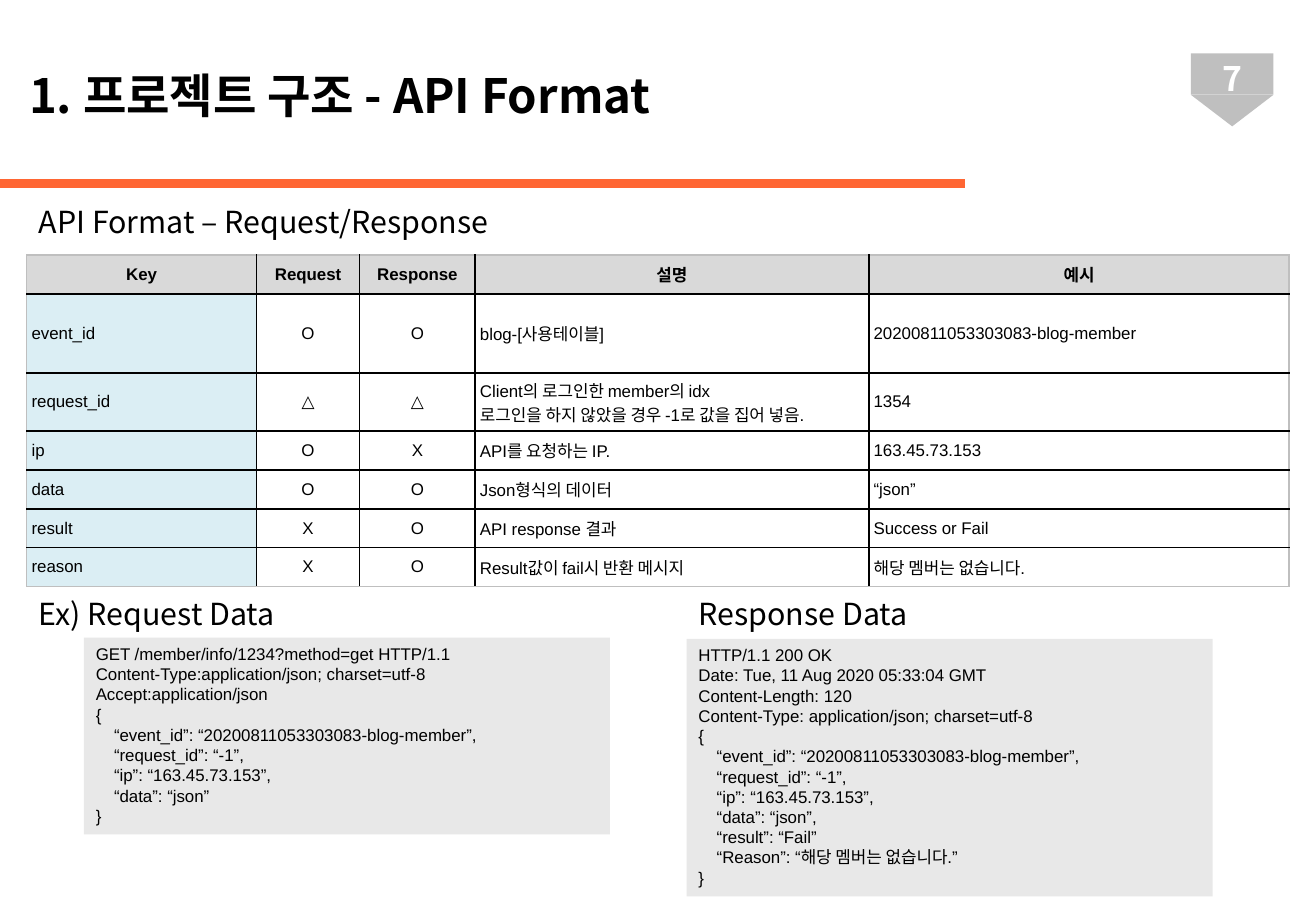
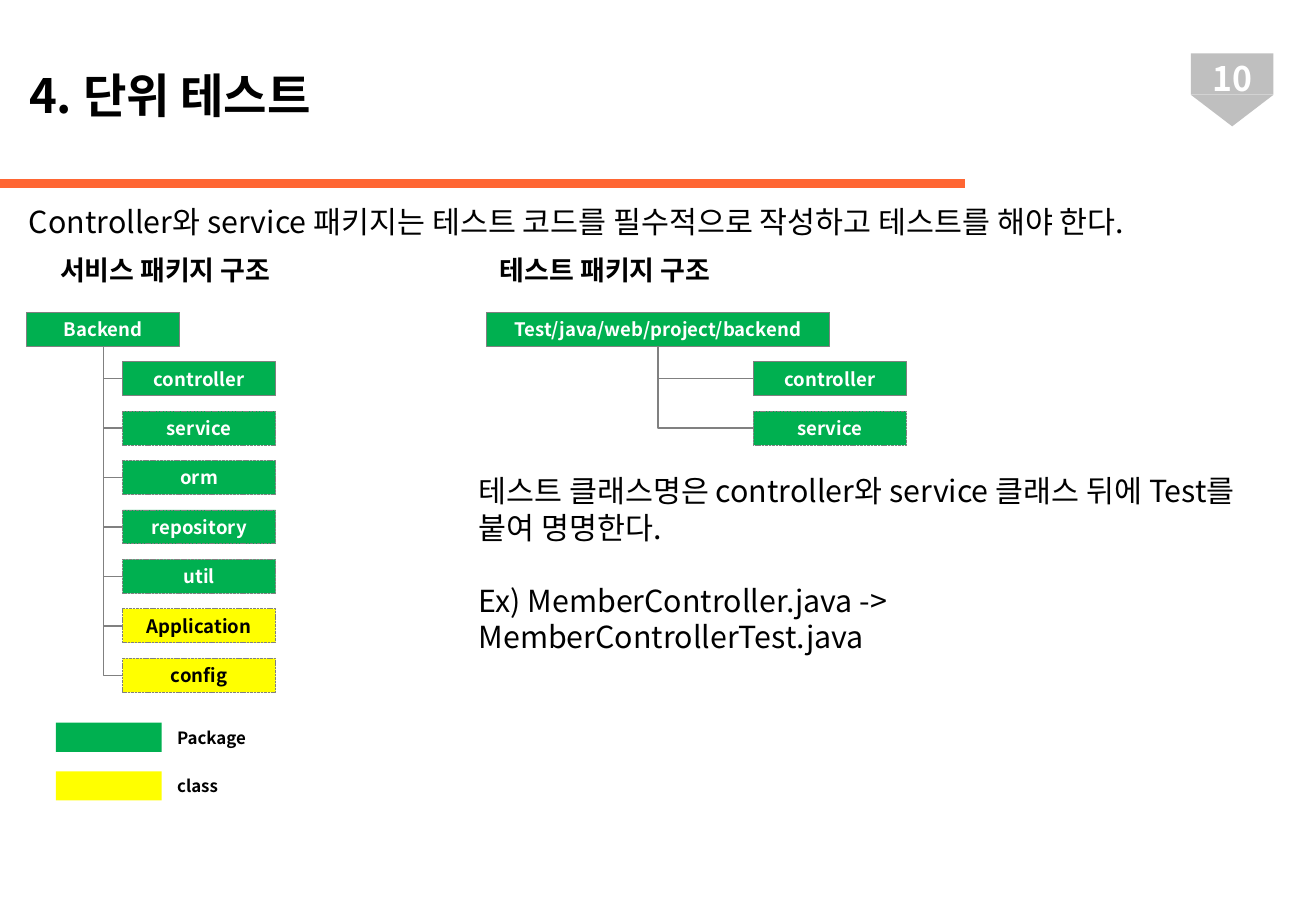
from lxml import etree
from pptx import Presentation
from pptx import util as u
from pptx.dml.color import RGBColor
from pptx.enum import dml, shapes, text
from pptx.oxml import ns

# Content
API_SLIDE = {"title": "1. 프로젝트 구조 - API Format", "number": "7"}
TEST_SLIDE = {"title": "4. 단위 테스트", "number": "10"}
API_HEADINGS = [
    ("API Format – Request/Response", 0.22, 1.62, 9.84),
    ("Ex) Request Data", 0.22, 4.85, 2.21),
    ("Response Data", 5.65, 4.85, 2.21),
]
API_ROWS = [
    ("Key", "Request", "Response", "설명", "예시"),
    ("event_id", "O", "O", "blog-[사용테이블]", "20200811053303083-blog-member"),
    ("request_id", "△", "△",
     "Client의 로그인한 member의 idx\n로그인을 하지 않았을 경우 -1로 값을 집어 넣음.", "1354"),
    ("ip", "O", "X", "API를 요청하는 IP.", "163.45.73.153"),
    ("data", "O", "O", "Json형식의 데이터", "“json”"),
    ("result", "X", "O", "API response 결과", "Success or Fail"),
    ("reason", "X", "O", "Result값이 fail시 반환 메시지", "해당 멤버는 없습니다."),
]
COLUMN_WIDTHS = [1.89, 0.85, 0.95, 3.24, 3.46]
ROW_HEIGHTS = [0.32, 0.65, 0.48] + [0.32] * 4
COMMON_FIELDS = ["“event_id”: “20200811053303083-blog-member”,",
                 "“request_id”: “-1”,", "“ip”: “163.45.73.153”,"]
# Each message: left, top, height, header lines, body fields
MESSAGES = [
    (0.69, 5.25, 1.62,
     ["GET /member/info/1234?method=get HTTP/1.1",
      "Content-Type:application/json; charset=utf-8",
      "Accept:application/json"],
     COMMON_FIELDS + ["“data”: “json”"]),
    (5.65, 5.26, 2.12,
     ["HTTP/1.1 200 OK", "Date: Tue, 11 Aug 2020 05:33:04 GMT",
      "Content-Length: 120", "Content-Type: application/json; charset=utf-8"],
     COMMON_FIELDS + ["“data”: “json”,", "“result”: “Fail”",
                      "“Reason”: “해당 멤버는 없습니다.”"]),
]
TEST_RULE = "Controller와 service 패키지는 테스트 코드를 필수적으로 작성하고 테스트를 해야 한다."
NAMING_RULE = [
    "테스트 클래스명은 controller와 service 클래스 뒤에 Test를 붙여 명명한다.",
    "Ex) MemberController.java -> MemberControllerTest.java",
]
CLASSES = ("Application", "config")
# Each tree: heading, heading left, root, root left, root width, child left, children
TREES = [
    ("서비스 패키지 구조", 0.22, "Backend", 0.22, 1.26, 1.01,
     ["controller", "service", "orm", "repository", "util", *CLASSES]),
    ("테스트 패키지 구조", 3.84, "Test/java/web/project/backend", 4, 2.83, 6.2,
     ["controller", "service"]),
]

# Style
SANS, ARIAL = "Noto Sans CJK KR", "Arial"
BLACK = RGBColor(0x00, 0x00, 0x00)
WHITE = RGBColor(0xFF, 0xFF, 0xFF)
ORANGE = RGBColor(0xFF, 0x66, 0x33)
SILVER = RGBColor(0xBF, 0xBF, 0xBF)
GRAY = RGBColor(0x80, 0x80, 0x80)
HEADER_GRAY = RGBColor(0xD9, 0xD9, 0xD9)
CODE_GRAY = RGBColor(0xE8, 0xE8, 0xE8)
KEY_BLUE = RGBColor(0xDB, 0xEE, 0xF4)
GREEN = RGBColor(0x00, 0xB0, 0x50)
YELLOW = RGBColor(0xFF, 0xFF, 0x00)
LEFT, CENTER = text.PP_ALIGN.LEFT, text.PP_ALIGN.CENTER
TOP, MIDDLE = text.MSO_ANCHOR.TOP, text.MSO_ANCHOR.MIDDLE
RECTANGLE = shapes.MSO_SHAPE.RECTANGLE
NODE_HEIGHT, ROOT_TOP, NODE_STEP = 0.28, 2.57, 2.85 / 7


def style_para(para, size, color=BLACK, bold=False, font=SANS, align=LEFT):
    para.alignment = align
    if font == SANS:
        para.line_spacing = u.Pt(size * 1.2)
    for span in para.runs:
        span.font.size, span.font.bold, span.font.name = u.Pt(size), bold, font
        span.font.color.rgb = color
        east = etree.SubElement(span.font._element, ns.qn("a:ea"))
        east.set("typeface", SANS)


def write(shape, lines, size, anchor=TOP, **style):
    frame = shape.text_frame
    frame.word_wrap, frame.vertical_anchor = True, anchor
    frame.text = "\n".join(lines)
    for para in frame.paragraphs:
        style_para(para, size, **style)
    return frame


def add_text(page, area, lines, size, **style):
    box = page.shapes.add_textbox(*map(u.Inches, area))
    return write(box, lines, size, **style)


def add_box(page, area, fill, kind=RECTANGLE):
    box = page.shapes.add_shape(kind, *map(u.Inches, area))
    box.shadow.inherit = False
    box.fill.solid()
    box.fill.fore_color.rgb = fill
    box.line.fill.background()
    return box


def style_line(line, color, width):
    line.line.color.rgb, line.line.width = color, u.Pt(width)
    etree.SubElement(line._element.spPr, ns.qn("a:effectLst"))


def start_page(deck, title, number):
    page = deck.slides.add_slide(deck.slide_layouts[5])
    heading = page.shapes.title
    heading.left, heading.top, heading.width, heading.height = map(
        u.Inches, (0.14, 0.48, 7.34, 0.59))
    write(heading, [title], 28, anchor=MIDDLE, bold=True)
    # Page number badge and rule under the title
    add_box(page, (9.8, 0.44, 0.68, 0.34), SILVER)
    add_box(page, (9.8, 0.78, 0.68, 0.26), SILVER,
            shapes.MSO_SHAPE.ISOSCELES_TRIANGLE).rotation = 180
    add_text(page, (9.8, 0.44, 0.68, 0.4), [number], 20, anchor=MIDDLE,
             color=WHITE, bold=True, align=CENTER)
    rule = page.shapes.add_connector(
        shapes.MSO_CONNECTOR.STRAIGHT, 0, u.Inches(1.51), u.Inches(7.94), u.Inches(1.51))
    style_line(rule, ORANGE, 5)
    return page


def set_borders(cell, colors):
    """Add borders ahead of the cell fill, in left, right, top, bottom order."""
    props = cell._tc.get_or_add_tcPr()
    for index, (side, color) in enumerate(zip("LRTB", colors)):
        border = etree.Element(ns.qn(f"a:ln{side}"), w=str(u.Pt(1)))
        fill = etree.SubElement(border, ns.qn("a:solidFill"))
        etree.SubElement(fill, ns.qn("a:srgbClr"), val=str(color))
        props.insert(index, border)


def add_api_table(page):
    last_row, last_column = len(API_ROWS) - 1, len(COLUMN_WIDTHS) - 1
    table = page.shapes.add_table(
        len(API_ROWS), len(COLUMN_WIDTHS), u.Inches(0.22), u.Inches(2.1),
        u.Inches(sum(COLUMN_WIDTHS)), u.Inches(sum(ROW_HEIGHTS))).table
    for column, width in zip(table.columns, COLUMN_WIDTHS):
        column.width = u.Inches(width)
    for r, (values, height) in enumerate(zip(API_ROWS, ROW_HEIGHTS)):
        table.rows[r].height = u.Inches(height)
        for c, value in enumerate(values):
            cell = table.cell(r, c)
            cell.margin_left = cell.margin_right = u.Inches(0.04)
            cell.margin_top = cell.margin_bottom = u.Inches(0.04)
            cell.vertical_anchor = MIDDLE
            cell.fill.solid()
            cell.fill.fore_color.rgb = HEADER_GRAY if r == 0 else KEY_BLUE if c == 0 else WHITE
            para = cell.text_frame.paragraphs[0]
            para.text = value
            para.space_before = para.space_after = u.Pt(3)
            style_para(para, 10, bold=r == 0, font=ARIAL,
                       align=CENTER if r == 0 or c in (1, 2) else LEFT)
            outer = (c == 0, c == last_column, r == 0, r == last_row)
            set_borders(cell, [SILVER if edge else BLACK for edge in outer])


def add_message(page, left, top, height, headers, fields):
    box = add_box(page, (left, top, 4.33, height), CODE_GRAY)
    frame = write(box, [*headers, "{", *fields, "}"], 10, font=ARIAL,
                  align=text.PP_ALIGN.JUSTIFY)
    for para in frame.paragraphs:
        para.line_spacing = u.Pt(12)
        if para.text in fields:
            para._p.get_or_add_pPr().set("marL", str(u.Inches(0.15)))


def add_node(page, name, left, top, width=1.26, dashed=False):
    is_class = name in CLASSES
    node = add_box(page, (left, top, width, NODE_HEIGHT), YELLOW if is_class else GREEN)
    node.line.color.rgb, node.line.width = GRAY, u.Pt(0.5)
    if dashed:
        node.line.dash_style = dml.MSO_LINE.SQUARE_DOT
    write(node, [name], 11, anchor=MIDDLE, bold=True, align=CENTER,
          color=BLACK if is_class else WHITE)
    return node


def join(page, parent, child):
    """Run a one-bend line from the bottom of the parent to the left of the child."""
    x, y = parent.left + parent.width // 2, parent.top + parent.height
    across, down = child.left - x, child.top + child.height // 2 - y
    elbow = page.shapes.add_connector(
        shapes.MSO_CONNECTOR.ELBOW, x, y, x + across, y + down)
    elbow.begin_connect(parent, 2)
    elbow.end_connect(child, 1)
    # The preset bends the other way, so turn it a quarter and flip it
    elbow.left, elbow.top = x + (across - down) // 2, y + (down - across) // 2
    elbow.width, elbow.height = down, across
    props = elbow._element.spPr
    props.find(ns.qn("a:prstGeom")).set("prst", "bentConnector2")
    turn = props.find(ns.qn("a:xfrm"))
    turn.set("rot", str(270 * 60000))
    turn.set("flipH", "1")
    style_line(elbow, GRAY, 0.75)


def add_tree(page, heading, heading_left, root, left, width, child_left, children):
    label = add_box(page, (heading_left, 2.04, 2.28, 0.37), WHITE)
    write(label, [heading], 16, bold=True, align=CENTER)
    parent = add_node(page, root, left, ROOT_TOP, width)
    for i, name in enumerate(children):
        child = add_node(page, name, child_left, ROOT_TOP + NODE_STEP * (i + 1), dashed=i > 0)
        join(page, parent, child)


deck = Presentation()
deck.slide_width, deck.slide_height = u.Inches(10.83), u.Inches(7.5)

# API format slide
page = start_page(deck, **API_SLIDE)
add_api_table(page)
for heading, left, top, width in API_HEADINGS:
    add_text(page, (left, top, width, 0.4), [heading], 18)
for message in MESSAGES:
    add_message(page, *message)

# Unit test slide
page = start_page(deck, **TEST_SLIDE)
add_text(page, (0.14, 1.62, 10.08, 0.4), [TEST_RULE], 18)
for tree in TREES:
    add_tree(page, *tree)
for i, (name, color) in enumerate([("Package", GREEN), ("class", YELLOW)]):
    top = 5.95 + 0.4 * i
    add_box(page, (0.46, top, 0.87, 0.24), color)
    add_text(page, (1.36, top - 0.01, 1.34, 0.27), [name], 10, bold=True)
naming = add_text(page, (3.84, 3.84, 6.69, 1.31), NAMING_RULE, 18)
naming.paragraphs[1].space_before = u.Pt(21.6)

deck.save("out.pptx")
